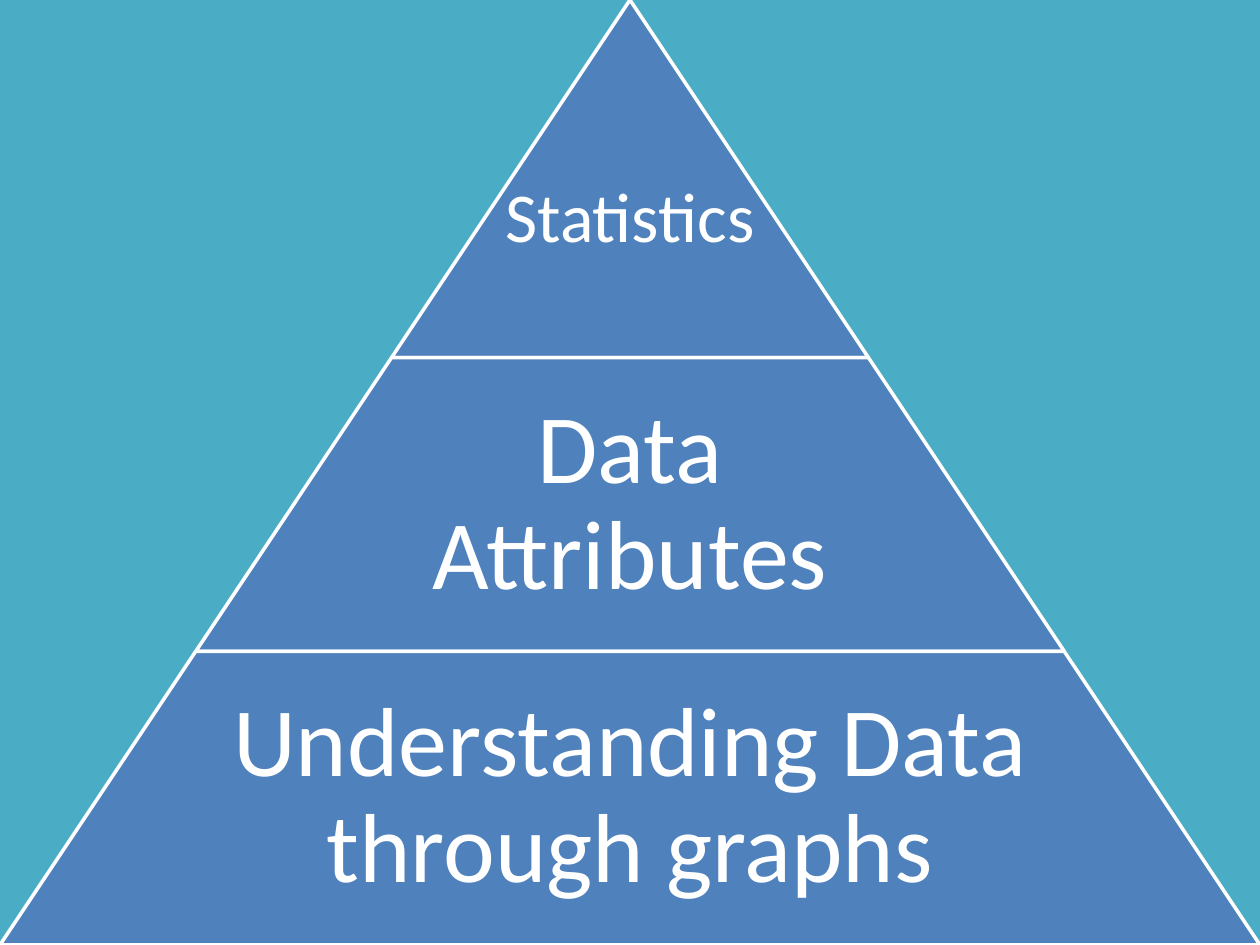
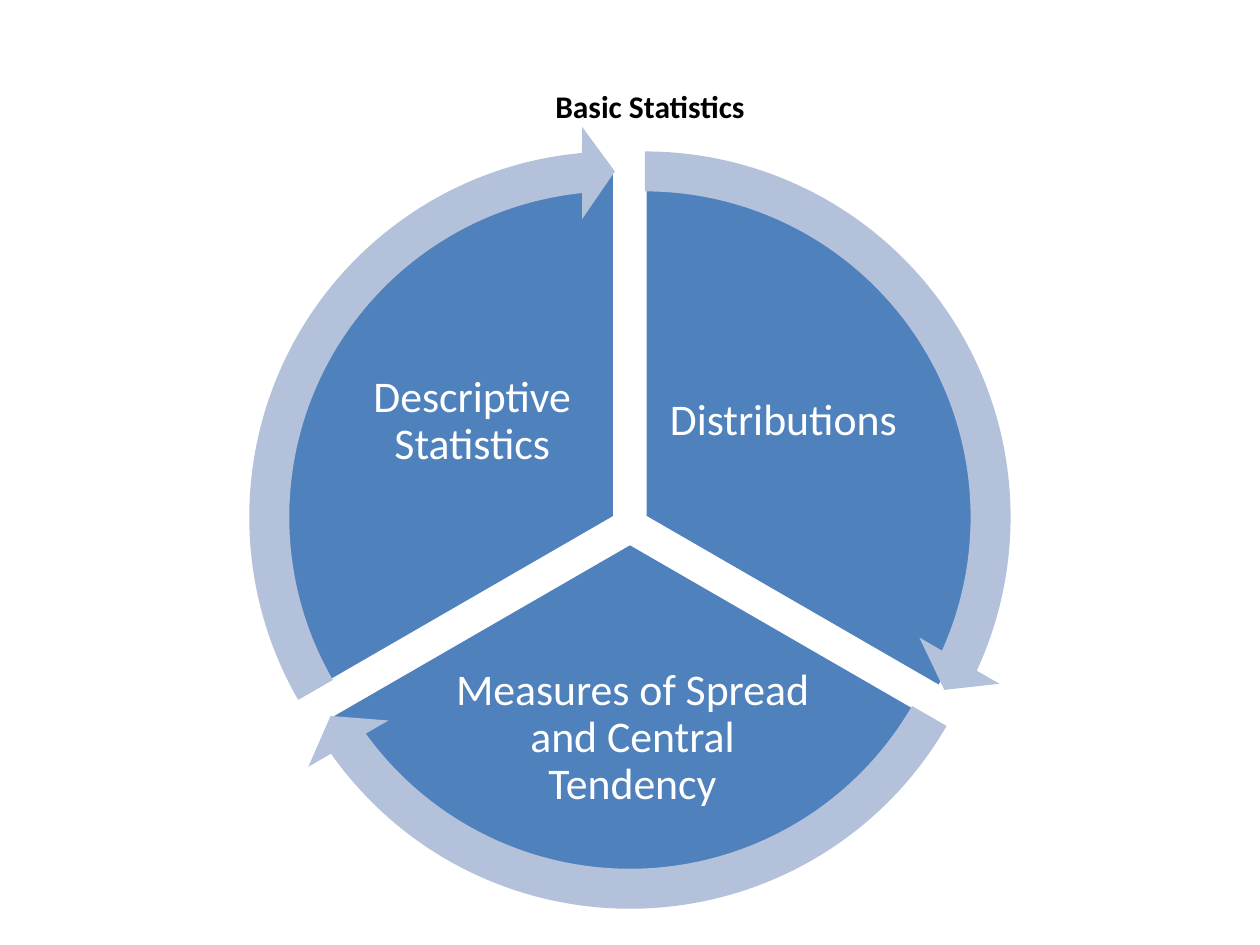
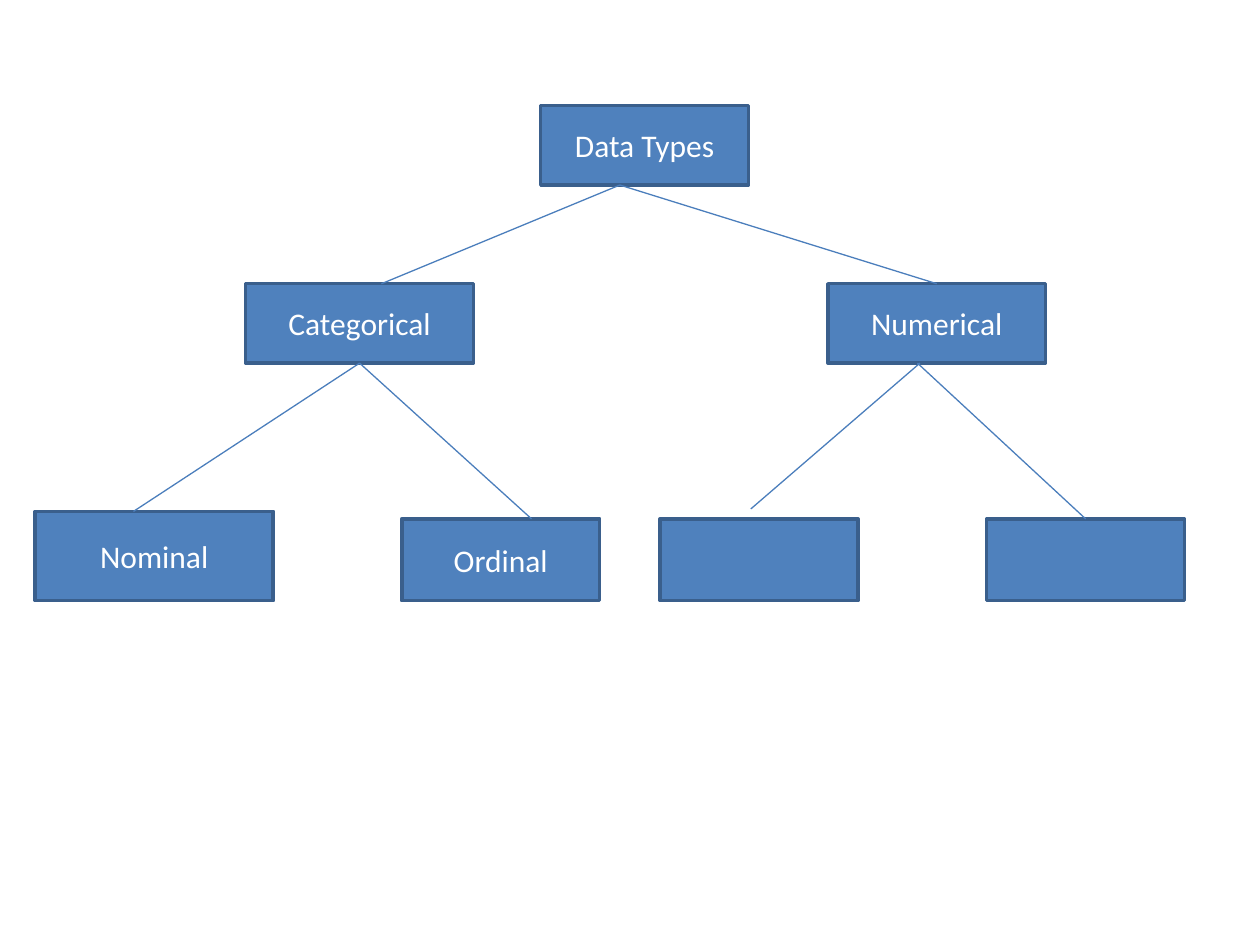
from math import cos, radians, sin

from lxml import etree
from pptx import Presentation
from pptx.dml.color import RGBColor
from pptx.enum.shapes import MSO_CONNECTOR, MSO_SHAPE
from pptx.enum.text import MSO_ANCHOR, PP_ALIGN
from pptx.oxml.ns import qn
from pptx.util import Cm, Pt

TRAPEZOID, PIE = MSO_SHAPE.TRAPEZOID, MSO_SHAPE.PIE
ARROW, RECTANGLE = MSO_SHAPE.CIRCULAR_ARROW, MSO_SHAPE.RECTANGLE
STRAIGHT = MSO_CONNECTOR.STRAIGHT
MIDDLE, CENTER = MSO_ANCHOR.MIDDLE, PP_ALIGN.CENTER
TOP_SIDE, BOTTOM_SIDE = 0, 2

COLORS = {
    "teal": "4BACC6",
    "blue": "4F81BD",
    "pale": "B3C1DB",
    "outline": "3A5F8C",
    "branch": "4B7EBC",
    "white": "FFFFFF",
    "black": "000000",
}
FONT = "Calibri"
PAGE_WIDTH, PAGE_HEIGHT = 25.4, 19.05

# All boxes are (left, top, width, height) in centimetres.
TIERS = [  # text, height, size, label width as share of the tier, top inset, inset
    ("Statistics", 7.21, 40, 1, 1.75, 0.1),
    ("Data Attributes", 5.92, 56, 0.65, 0.2, 0.2),
    ("Understanding Data through graphs", 5.92, 56, 0.65, 0.2, 0.2),
]
SEGMENTS = [  # text, bisector angle, pie width, label centre x and y, label size
    ("Distributions", -30, 13.6, 3.09, -2.1, 4.85, 4.2),
    ("Measures of Spread and Central Tendency", 90, 14.05, 0.05, 4.28, 7.52, 3.7),
    ("Descriptive Statistics", 210, 14.05, -3.18, -2.1, 5.03, 4.2),
]
NODES = {
    "root": ("Data Types", (10.9, 2.13, 4.19, 1.6)),
    "categorical": ("Categorical", (4.95, 5.72, 4.6, 1.6)),
    "numerical": ("Numerical", (16.69, 5.72, 4.39, 1.6)),
    "nominal": ("Nominal", (0.71, 10.31, 4.8, 1.8)),
    "ordinal": ("Ordinal", (8.1, 10.46, 3.99, 1.65)),
    "first number": ("", (13.31, 10.46, 3.99, 1.65)),
    "second number": ("", (19.89, 10.46, 3.99, 1.65)),
}
BRANCHES = [  # parent, shift from its bottom middle, child, shift from its top middle
    ("root", (-0.5, 0), "categorical", (0.44, 0)),
    ("root", (-0.5, 0), "numerical", (0, 0)),
    ("categorical", (0, 0), "nominal", (-0.42, 0)),
    ("categorical", (0, 0), "ordinal", (0.62, 0)),
    ("numerical", (-0.34, 0), "first number", (-0.17, -0.2)),
    ("numerical", (-0.39, 0), "second number", (0, 0)),
]


def color(name):
    return RGBColor.from_string(COLORS[name])


def lengths(values):
    return [Cm(value) for value in values]


def centered(x, y, width, height):
    """Return the box of this size around a centre."""
    return x - width / 2, y - height / 2, width, height


def add_page(deck, background="white"):
    page = deck.slides.add_slide(deck.slide_layouts[6])
    page.background.fill.solid()
    page.background.fill.fore_color.rgb = color(background)
    return page


def write(frame, text, size, ink="white", bold=False, spacing=1):
    frame.word_wrap = True
    frame.text = text
    para = frame.paragraphs[0]
    para.alignment = CENTER
    para.line_spacing = spacing
    for span in para.runs:
        span.font.name = FONT
        span.font.size = Pt(size)
        span.font.bold = bold
        span.font.color.rgb = color(ink)


def add_figure(shapes, kind, box, fill="blue", line="white", adjustments=()):
    figure = shapes.add_shape(kind, *lengths(box))
    figure.shadow.inherit = False
    figure.fill.solid()
    figure.fill.fore_color.rgb = color(fill)
    if line:
        figure.line.color.rgb = color(line)
        figure.line.width = Pt(2)
    else:
        figure.line.fill.background()
    for index, value in enumerate(adjustments):
        figure.adjustments[index] = value
    return figure


def add_label(shapes, box, text, size, inset, top_inset=None):
    frame = shapes.add_textbox(*lengths(box)).text_frame
    frame.vertical_anchor = MIDDLE
    frame.margin_left = frame.margin_right = frame.margin_bottom = Cm(inset)
    frame.margin_top = Cm(inset if top_inset is None else top_inset)
    write(frame, text, size, spacing=0.9)


def draw_pyramid(page, box):
    left, top, full_width, full_height = box
    shapes = page.shapes.add_group_shape().shapes
    middle = left + full_width / 2
    slope = full_width / 2 / full_height
    depth = 0
    for text, height, size, share, top_inset, inset in TIERS:
        width = 2 * slope * (depth + height)
        tier = (middle - width / 2, top + depth, width, height)
        add_figure(shapes, TRAPEZOID, tier, adjustments=[slope])
        label = (middle - width * share / 2, top + depth, width * share, height)
        add_label(shapes, label, text, size, inset, top_inset)
        depth += height


def draw_cycle(page, box):
    """Draw three pie segments, pushed outwards, inside a ring of arrows."""
    left, top, ring_size, _ = box
    center_x, center_y = left + ring_size / 2, top + ring_size / 2
    shapes = page.shapes.add_group_shape().shapes
    angle_unit = 0.6  # adjustment per degree
    head = 3.275
    push = 0.35
    arrows = []
    for text, bisector, pie_width, x, y, width, height in SEGMENTS:
        hub_x = center_x + push * cos(radians(bisector))
        hub_y = center_y + push * sin(radians(bisector))
        start = (bisector - 60) % 360 * angle_unit
        end = (bisector + 60) % 360 * angle_unit
        pie = centered(hub_x, hub_y, pie_width, 14.05)
        add_figure(shapes, PIE, pie, adjustments=[start, end])
        add_label(shapes, centered(center_x + x, center_y + y, width, height),
                  text, 25, 0.08)
        arrows.append((centered(hub_x, hub_y, ring_size, ring_size),
                       [0.051, head, end - head, start, 0.059]))
    for ring, adjustments in arrows:
        add_figure(shapes, ARROW, ring, "pale", None, adjustments)


def draw_heading(page, box, text):
    frame = page.shapes.add_textbox(*lengths(box)).text_frame
    write(frame, text, 18, "black", bold=True)


def add_branch(page, parent, parent_shift, child, child_shift):
    start = (parent.left + parent.width // 2 + Cm(parent_shift[0]),
             parent.top + parent.height + Cm(parent_shift[1]))
    end = (child.left + child.width // 2 + Cm(child_shift[0]),
           child.top + Cm(child_shift[1]))
    branch = page.shapes.add_connector(STRAIGHT, *start, *end)
    branch.line.color.rgb = color("branch")
    branch.line.width = Pt(0.75)
    etree.SubElement(branch.element.spPr, qn("a:effectLst"))
    if not any(parent_shift):
        branch.begin_connect(parent, BOTTOM_SIDE)
    if not any(child_shift):
        branch.end_connect(child, TOP_SIDE)


def draw_tree(page, box):
    left, top = box[:2]
    nodes = {}
    for name, (text, (x, y, width, height)) in NODES.items():
        node = add_figure(page.shapes, RECTANGLE, (left + x, top + y, width, height),
                          line="outline")
        node.text_frame.vertical_anchor = MIDDLE
        if text:
            write(node.text_frame, text, 18)
        nodes[name] = node
    for parent, parent_shift, child, child_shift in BRANCHES:
        add_branch(page, nodes[parent], parent_shift, nodes[child], child_shift)


def main():
    deck = Presentation()
    deck.slide_width, deck.slide_height = Cm(PAGE_WIDTH), Cm(PAGE_HEIGHT)
    whole_page = (0, 0, PAGE_WIDTH, PAGE_HEIGHT)

    draw_pyramid(add_page(deck, "teal"), whole_page)

    cycle_page = add_page(deck)
    draw_cycle(cycle_page, (4.8, 2.7, 15.8, 15.8))
    draw_heading(cycle_page, (7.11, 1.63, 11.99, 1.02), "Basic Statistics")

    draw_tree(add_page(deck), whole_page)
    deck.save("out.pptx")


if __name__ == "__main__":
    main()
